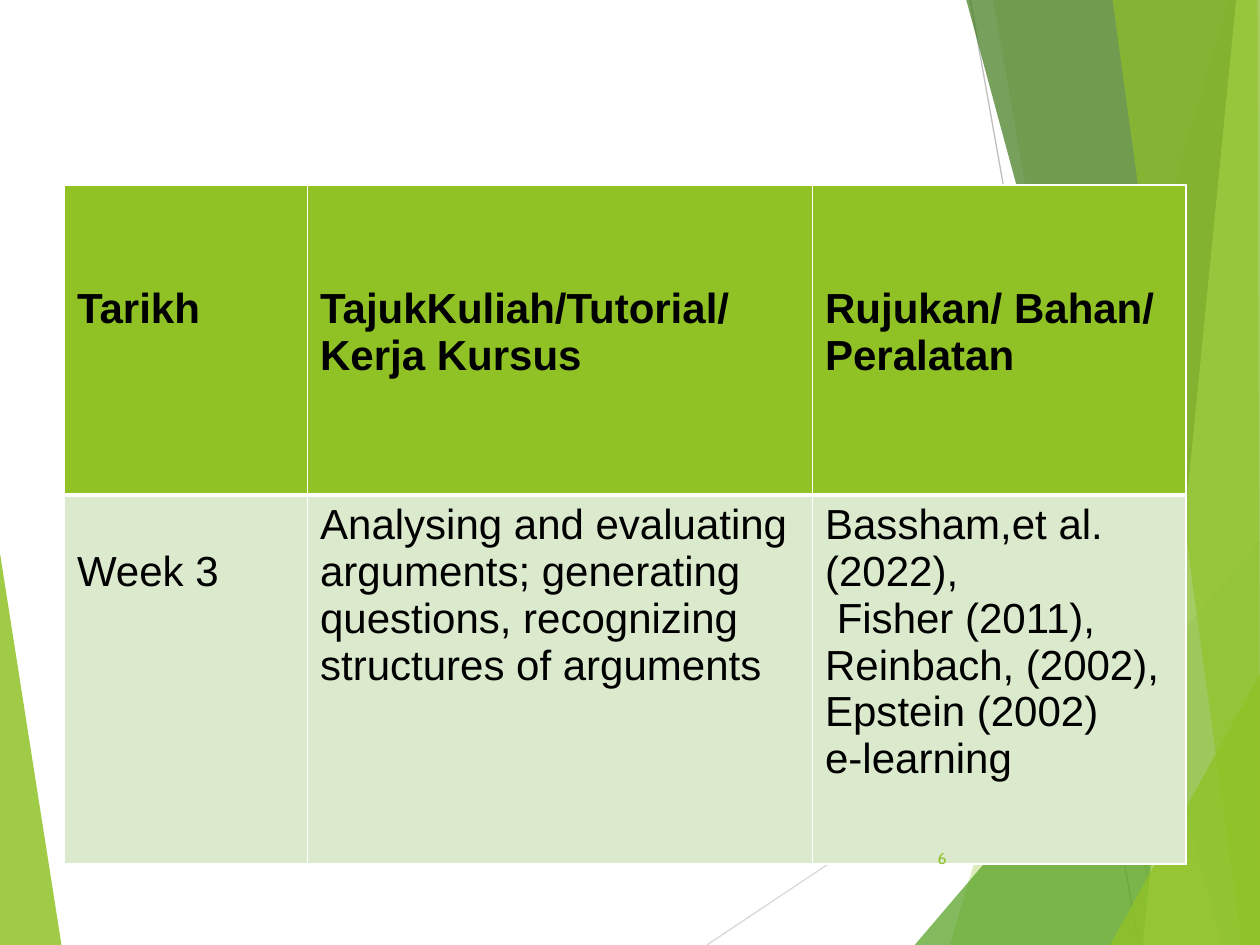
import pptx
import pptx.util
import pptx.dml.color
import pptx.enum.shapes
import pptx.enum.text
from lxml import etree
from pptx.oxml.ns import qn

Cm, Pt = pptx.util.Cm, pptx.util.Pt
RGBColor = pptx.dml.color.RGBColor
PP_ALIGN = pptx.enum.text.PP_ALIGN
MSO_ANCHOR = pptx.enum.text.MSO_ANCHOR

WHITE = RGBColor(0xFF, 0xFF, 0xFF)
BLACK = RGBColor(0, 0, 0)
LIME = RGBColor(0x90, 0xC2, 0x26)
GREEN = RGBColor(0x54, 0xA0, 0x21)
DARK = RGBColor(0x3F, 0x78, 0x19)
PALE_LIME = RGBColor(0xC0, 0xE4, 0x74)
PALE_GREEN = RGBColor(0xDB, 0xE9, 0xCD)
GREY = RGBColor(0xBF, 0xBF, 0xBF)
LIGHT_GREY = RGBColor(0xD9, 0xD9, 0xD9)

W, H = 25.4, 19.05  # slide size in cm

# Decoration: points in cm, colour, opacity in percent
LEFT_WEDGE = ([(0, 11.15), (1.24, H), (0, H)], LIME, 85)
LINES = [
    ((14.25, H), (W, 11.61), LIGHT_GREY),
    ((19.56, 0), (22.96, H), GREY),
]
RIGHT_FACETS = [
    ([(24.77, 0), (19.15, H), (W, H), (W, 0)], LIME, 30),
    ([(20.02, 0), (23.34, H), (W, H), (W, 0)], LIME, 20),
    ([(18.44, H), (W, 10.9), (W, H)], GREEN, 72),
    ([(19.48, 0), (24.64, H), (W, H), (W, 0)], DARK, 70),
    ([(24.92, 0), (23.04, H), (W, H), (W, 0)], PALE_LIME, 70),
    ([(22.43, 0), (25.04, H), (W, H), (25.35, 0)], LIME, 65),
    ([(22.38, H), (W, 13.59), (W, H)], LIME, 80),
]

# Table: each cell is a list of paragraphs
HEADER = [
    ["Tarikh"],
    ["TajukKuliah/Tutorial/", "Kerja Kursus"],
    ["Rujukan/ Bahan/ Peralatan"],
]
WEEK = [
    ["Week 3"],
    ["Analysing and evaluating arguments; generating questions, "
     "recognizing structures of arguments"],
    ["Bassham,et al. (2022),", " Fisher (2011),", "Reinbach, (2002),",
     "Epstein (2002)", "e-learning"],
]
COL_WIDTHS = [4.9, 10.18, 7.53]
ROW_HEIGHTS = [6.25, 7.44]
TABLE_LEFT, TABLE_TOP = 1.3, 3.73
LINE_HEIGHT, PAD = 0.95, 0.13
# Per row: paragraphs, fill, bold, lines left free above each cell's text,
# top and bottom border width
ROWS = [
    (HEADER, LIME, True, [2, 2, 2], 1, 3),
    (WEEK, PALE_GREEN, False, [1, 0, 0], 3, 1),
]


def add_text(tf, text, first=True, font="Arial", size=24, color=BLACK,
             bold=False, align=PP_ALIGN.LEFT):
    p = tf.paragraphs[0] if first else tf.add_paragraph()
    p.alignment = align
    r = p.add_run()
    r.text = text
    r.font.name, r.font.size, r.font.bold = font, Pt(size), bold
    r.font.color.rgb = color


def add_facet(slide, points, color, opacity):
    corners = [(Cm(x), Cm(y)) for x, y in points]
    builder = slide.shapes.build_freeform(*corners[0])
    builder.add_line_segments(corners[1:], close=True)
    sp = builder.convert_to_shape()
    sp.shadow.inherit = False
    sp.line.fill.background()
    sp.fill.solid()
    sp.fill.fore_color.rgb = color
    clr = sp.fill._xPr.find(qn("a:solidFill"))[0]
    etree.SubElement(clr, qn("a:alpha"), val=str(opacity * 1000))


def add_line(slide, start, end, color):
    kind = pptx.enum.shapes.MSO_CONNECTOR.STRAIGHT
    line = slide.shapes.add_connector(kind, *map(Cm, start + end))
    line.line.color.rgb = color
    line.line.width = Pt(0.75)
    etree.SubElement(line._element.spPr, qn("a:effectLst"))


def set_borders(cell, top, bottom):
    tc_pr = cell._tc.get_or_add_tcPr()
    sides = [("L", 1), ("R", 1), ("T", top), ("B", bottom)]
    for i, (side, width) in enumerate(sides):
        ln = etree.Element(qn(f"a:ln{side}"), w=str(Pt(width)))
        fill = etree.SubElement(ln, qn("a:solidFill"))
        etree.SubElement(fill, qn("a:srgbClr"), val=str(WHITE))
        tc_pr.insert(i, ln)


def add_schedule(slide):
    frame = slide.shapes.add_table(
        len(ROWS), len(COL_WIDTHS), Cm(TABLE_LEFT), Cm(TABLE_TOP),
        Cm(sum(COL_WIDTHS)), Cm(sum(ROW_HEIGHTS)))
    table = frame.table
    for col, width in zip(table.columns, COL_WIDTHS):
        col.width = Cm(width)
    for i, (texts, fill, bold, skips, top, bottom) in enumerate(ROWS):
        table.rows[i].height = Cm(ROW_HEIGHTS[i])
        for j, paragraphs in enumerate(texts):
            cell = table.cell(i, j)
            cell.margin_top = Cm(PAD + skips[j] * LINE_HEIGHT)
            cell.fill.solid()
            cell.fill.fore_color.rgb = fill
            set_borders(cell, top, bottom)
            for k, text in enumerate(paragraphs):
                add_text(cell.text_frame, text, first=k == 0, bold=bold)


def main():
    prs = pptx.Presentation()
    prs.slide_width, prs.slide_height = Cm(W), Cm(H)
    slide = prs.slides.add_slide(prs.slide_layouts[6])

    # Background decoration
    add_facet(slide, *LEFT_WEDGE)
    for line in LINES:
        add_line(slide, *line)
    for facet in RIGHT_FACETS:
        add_facet(slide, *facet)

    add_schedule(slide)

    # Slide number
    sp = slide.shapes.add_textbox(Cm(17.91), Cm(16.79), Cm(1.42), Cm(1.02))
    tf = sp.text_frame
    tf.word_wrap = True
    tf.vertical_anchor = MSO_ANCHOR.MIDDLE
    add_text(tf, "6", font="Cabin", size=9, color=LIME, align=PP_ALIGN.RIGHT)

    prs.save("out.pptx")


if __name__ == "__main__":
    main()
